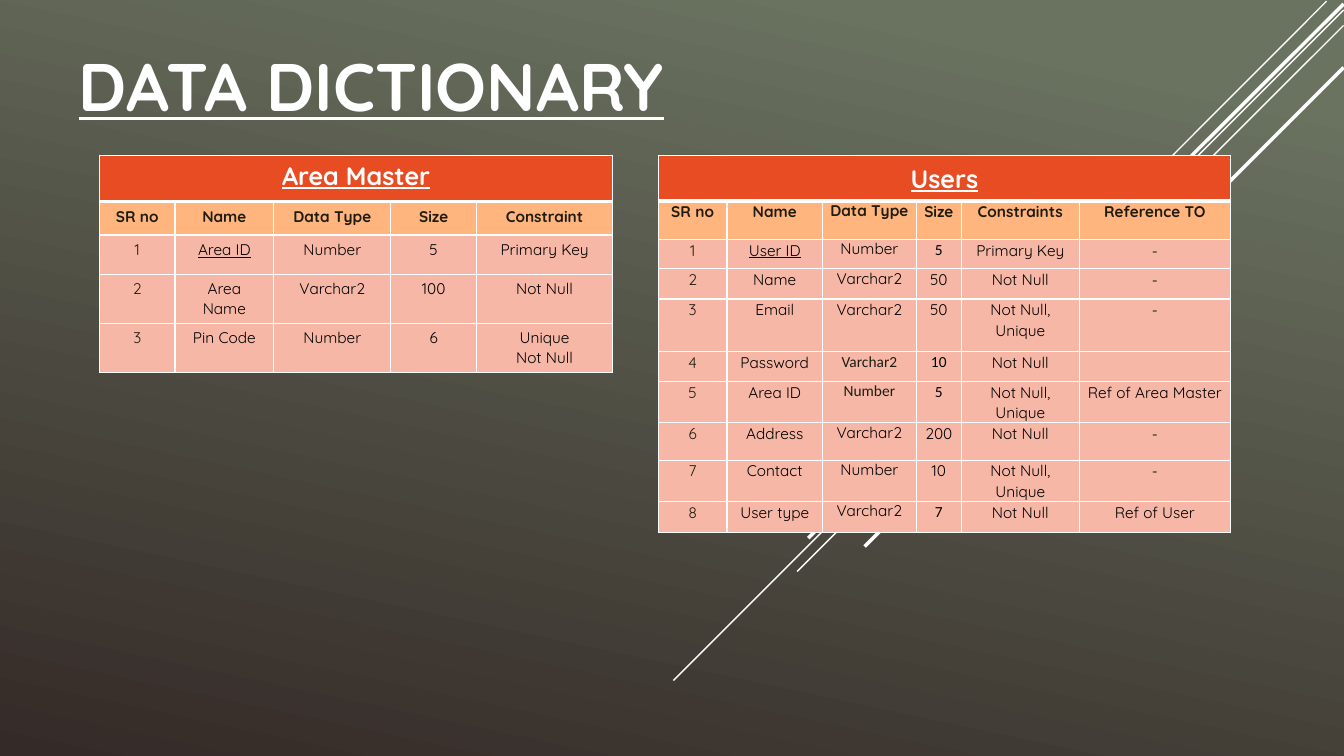
from lxml.etree import SubElement
from pptx import Presentation
from pptx.dml.color import RGBColor
from pptx.enum.shapes import MSO_CONNECTOR
from pptx.enum.text import MSO_ANCHOR, MSO_AUTO_SIZE, PP_ALIGN
from pptx.oxml import parse_xml
from pptx.oxml.ns import nsdecls, qn
from pptx.util import Cm, Pt

WHITE, BLACK, INK = "FFFFFF", "000000", "1E1C11"
BANNER, HEADING, BODY = "E84C22", "FFB57D", "F6B7A7"

# from x, from y, to x, to y in cm, width in points
RAYS = [
    (33.43, 0.03, 22.86, 10.62, 1),
    (33.86, 0.25, 16.97, 17.15, 1),
    (33.86, 0.64, 20.09, 14.4, 1),
    (33.86, 0.1, 20.37, 13.56, 2.5),
    (33.86, 1.7, 21.79, 13.77, 2.5),
]

AREA_MASTER = [
    ["SR no", "Name", "Data Type", "Size", "Constraint"],
    ["1", "Area ID", "Number", "5", "Primary Key"],
    ["2", "Area Name", "Varchar2", "100", "Not Null"],
    ["3", "Pin Code", "Number", "6", "Unique\nNot Null"],
]
USERS = [
    ["SR no", "Name", "Data Type", "Size", "Constraints", "Reference TO"],
    ["1", "User ID", "Number", "5", "Primary Key", "-"],
    ["2", "Name", "Varchar2", "50", "Not Null", "-"],
    ["3", "Email", "Varchar2", "50", "Not Null, Unique", "-"],
    ["4", "Password", "Varchar2", "10", "Not Null", ""],
    ["5", "Area ID", "Number", "5", "Not Null, Unique", "Ref of Area Master"],
    ["6", "Address", "Varchar2", "200", "Not Null", "-"],
    ["7", "Contact", "Number", "10", "Not Null, Unique", "-"],
    ["8", "User type", "Varchar2", "7", "Not Null", "Ref of User"],
]
# (row, column) of the Users cells set in Calibri
USERS_CALIBRI = {(2, 3), (5, 2), (5, 3), (6, 2), (6, 3), (9, 3)}


def rgb(value):
    return RGBColor.from_string(value)


def style_font(font, size, color, bold=False, underline=False, name="Quicksand"):
    font.name, font.size = name, Pt(size)
    font.bold, font.underline = bold, underline
    font.color.rgb = rgb(color)


def paint_background(slide):
    fill = slide.background.fill
    fill.gradient()
    fill.gradient_angle = 258
    for stop, (position, color) in zip(fill.gradient_stops, [(0.1, "6A7260"), (1, "342A27")]):
        stop.position = position
        stop.color.rgb = rgb(color)


def draw_rays(slide):
    for x1, y1, x2, y2, width in RAYS:
        ray = slide.shapes.add_connector(MSO_CONNECTOR.STRAIGHT, Cm(x1), Cm(y1), Cm(x2), Cm(y2))
        ray.line.color.rgb = rgb(WHITE)
        ray.line.width = Pt(width)
        SubElement(ray._element.spPr, qn("a:effectLst"))


def write_title(slide, left, top, width, height):
    title = slide.shapes.title
    title.left, title.top, title.width, title.height = Cm(left), Cm(top), Cm(width), Cm(height)
    frame = title.text_frame
    frame.text = "DATA DICTIONARY"
    frame.auto_size = MSO_AUTO_SIZE.NONE
    frame.vertical_anchor = MSO_ANCHOR.BOTTOM
    heading = frame.paragraphs[0]
    heading.alignment = PP_ALIGN.CENTER
    style_font(heading.font, 48, WHITE, bold=True, underline=True)


def border_cell(cell, row):
    """White edges, with a heavy rule between the banner and the headings."""
    widths = {"L": 1, "R": 1, "T": 3 if row == 1 else 1, "B": 3 if row == 0 else 1}
    for index, (side, points) in enumerate(widths.items()):
        edge = parse_xml(
            f'<a:ln{side} {nsdecls("a")} w="{Pt(points)}"><a:solidFill>'
            f'<a:srgbClr val="{WHITE}"/></a:solidFill></a:ln{side}>')
        cell._tc.get_or_add_tcPr().insert(index, edge)


def fill_cell(cell, text, row, column, margins, spaced, font_name):
    cell.fill.solid()
    cell.fill.fore_color.rgb = rgb({0: BANNER, 1: HEADING}.get(row, BODY))
    border_cell(cell, row)
    cell.margin_left = cell.margin_right = Cm(margins[0])
    cell.margin_top = cell.margin_bottom = Cm(margins[1])
    cell.text = text
    for paragraph in cell.text_frame.paragraphs:
        paragraph.alignment = PP_ALIGN.CENTER
        if spaced:
            paragraph.line_spacing, paragraph.space_after = 1.07, Pt(8)
        if row == 0:
            style_font(paragraph.font, 18, WHITE, bold=True, underline=True)
            continue
        is_key = (row, column) == (2, 1)
        dark = row == 1 or column == 0 or (font_name == "Calibri" and column == 2)
        style_font(paragraph.font, 11, INK if dark else BLACK,
                   bold=row == 1, underline=is_key, name=font_name)


def add_dictionary(slide, left, top, widths, heights, name, records,
                   margins, banner_margins, spaced=False, calibri=()):
    """Table with a merged banner row, a heading row and one row per field."""
    table = slide.shapes.add_table(
        len(heights), len(widths), Cm(left), Cm(top), Cm(sum(widths)), Cm(sum(heights))).table
    table.first_row = table.horz_banding = False
    for column, width in zip(table.columns, widths):
        column.width = Cm(width)
    for row, height in zip(table.rows, heights):
        row.height = Cm(height)

    banner = [name] + [""] * (len(widths) - 1)
    for r, record in enumerate([banner] + records):
        for c, text in enumerate(record):
            plain_type = c == 2 and r not in (4, 5)
            fill_cell(table.cell(r, c), text, r, c, banner_margins if r == 0 else margins,
                      spaced and not plain_type, "Calibri" if (r, c) in calibri else "Quicksand")
    table.cell(0, 0).merge(table.cell(0, len(widths) - 1))


def build_slide(deck):
    slide = deck.slides.add_slide(deck.slide_layouts[5])
    paint_background(slide)
    draw_rays(slide)
    write_title(slide, -1.42, 0.08, 21.56, 3.2)
    add_dictionary(slide, 2.51, 3.91, [1.9, 2.49, 2.95, 2.16, 3.43],
                   [1.17, 0.84, 0.99, 1.22, 1.24], "Area Master", AREA_MASTER,
                   margins=(0.23, 0.13), banner_margins=(0.23, 0.13))
    add_dictionary(slide, 16.59, 3.91, [1.73, 2.41, 2.36, 1.14, 2.97, 3.81],
                   [1.14, 0.97, 0.74, 0.76, 1.32, 0.76, 1.04, 0.94, 1.04, 0.79],
                   "Users", USERS, margins=(0.18, 0), banner_margins=(0.18, 0.15),
                   spaced=True, calibri=USERS_CALIBRI)


def main():
    deck = Presentation()
    deck.slide_width, deck.slide_height = Cm(33.87), Cm(19.05)
    build_slide(deck)
    deck.save("out.pptx")


if __name__ == "__main__":
    main()
